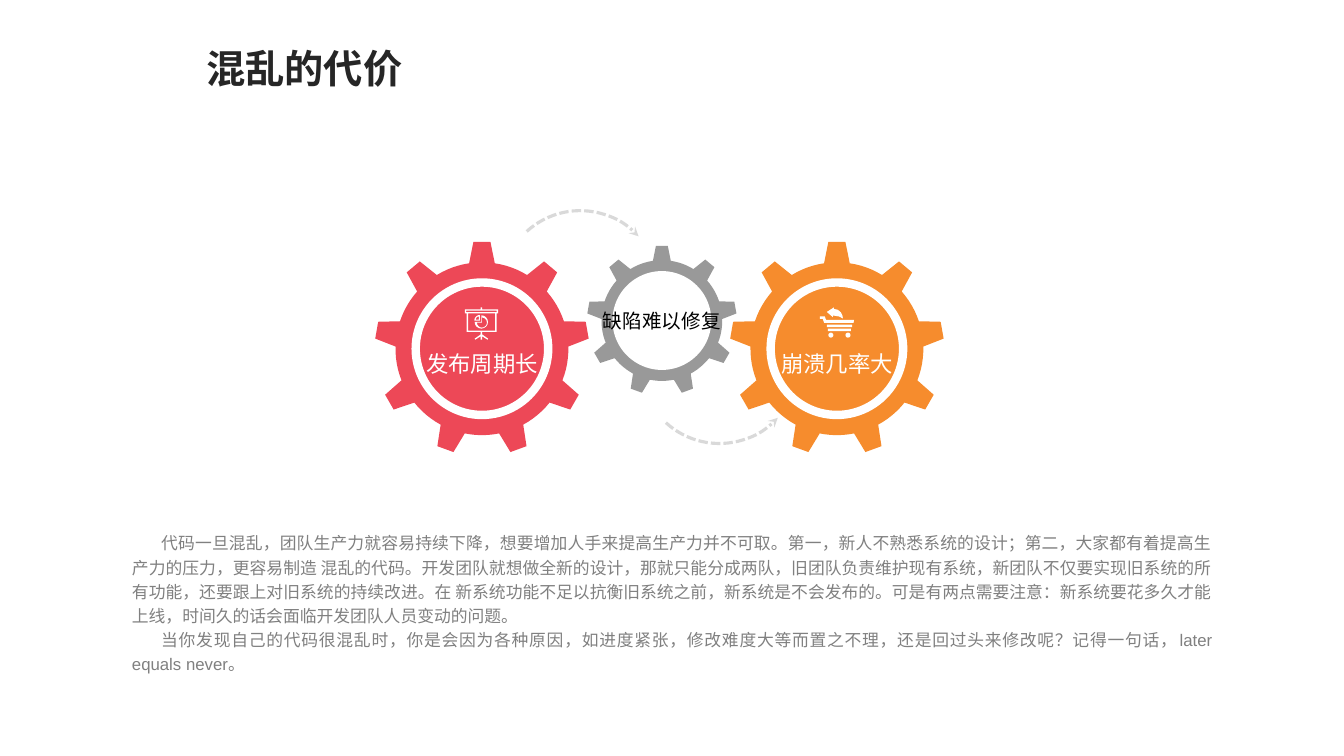
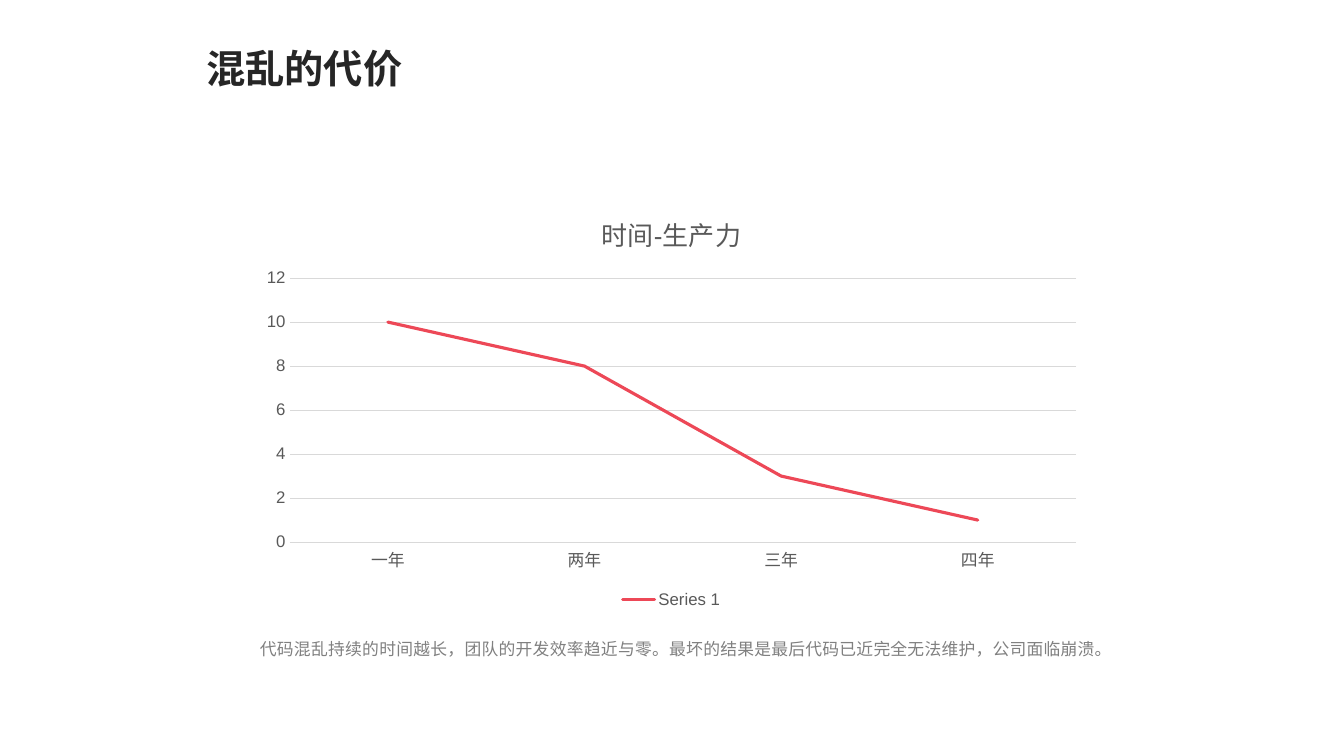
from math import cos, radians, sin

from pptx import Presentation
from pptx.chart.data import CategoryChartData
from pptx.dml.color import RGBColor
from pptx.enum.chart import XL_CHART_TYPE, XL_LEGEND_POSITION, XL_MARKER_STYLE, XL_TICK_MARK
from pptx.enum.dml import MSO_LINE
from pptx.enum.shapes import MSO_SHAPE
from pptx.enum.text import MSO_ANCHOR, PP_ALIGN
from pptx.oxml.ns import qn
from pptx.util import Emu, Inches, Pt
from lxml.etree import SubElement

RED = RGBColor(0xED, 0x48, 0x57)
ORANGE = RGBColor(0xF6, 0x8C, 0x2D)
GREY = RGBColor(0x99, 0x99, 0x99)
PALE = RGBColor(0xD9, 0xD9, 0xD9)
DARK = RGBColor(0x26, 0x26, 0x26)
MID = RGBColor(0x59, 0x59, 0x59)
SOFT = RGBColor(0x80, 0x80, 0x80)
BLACK = RGBColor(0, 0, 0)
WHITE = RGBColor(0xFF, 0xFF, 0xFF)

W, H = Inches(13.33), Inches(7.5)
FONT = "Arial"
TITLE = {"size": Pt(28), "bold": True, "color": DARK}
BODY = {"size": Pt(12), "color": SOFT}
AXIS = {"size": Pt(12), "color": MID}
CHART_TITLE = {"size": Pt(18.6), "bold": False, "color": MID}
LABEL = {"size": Pt(16), "color": WHITE}
SMALL_LABEL = {"size": Pt(14), "color": BLACK}

# Boxes in percent of the slide: left, top, width, height
TITLE_BOX = (14.63, 5.2, 16.28, 7.6)
STORY_BOX = (9.08, 69.33, 81.85, 20.8)
CHART_BOX = (18.6, 25.6, 62.72, 55.47)
NOTE_BOX = (18.6, 83.33, 63.69, 4.53)

STORY = [
    "代码一旦混乱，团队生产力就容易持续下降，想要增加人手来提高生产力并不可取。第一，新人不熟悉系统的设计；"
    "第二，大家都有着提高生产力的压力，更容易制造 混乱的代码。开发团队就想做全新的设计，那就只能分成两队，"
    "旧团队负责维护现有系统，新团队不仅要实现旧系统的所有功能，还要跟上对旧系统的持续改进。"
    "在 新系统功能不足以抗衡旧系统之前，新系统是不会发布的。可是有两点需要注意：新系统要花多久才能上线，"
    "时间久的话会面临开发团队人员变动的问题。",
    "当你发现自己的代码很混乱时，你是会因为各种原因，如进度紧张，修改难度大等而置之不理，"
    "还是回过头来修改呢？记得一句话，later equals never。",
]
NOTE = ["代码混乱持续的时间越长，团队的开发效率趋近与零。最坏的结果是最后代码已近完全无法维护，公司面临崩溃。"]


def across(share):
    return Emu(int(W * share / 100))


def down(share):
    return Emu(int(H * share / 100))


def place(box):
    x, y, w, h = box
    return across(x), down(y), across(w), down(h)


def around(cx, cy, r):
    return [Emu(int(v)) for v in (cx - r, cy - r, 2 * r, 2 * r)]


def set_font(font, style):
    font.name = FONT
    for key, value in style.items():
        if key == "color":
            font.color.rgb = value
        else:
            setattr(font, key, value)


def paint(sp, fill, line=None, width=None):
    sp.shadow.inherit = False
    if fill is None:
        sp.fill.background()
    else:
        sp.fill.solid()
        sp.fill.fore_color.rgb = fill
    if line is None:
        sp.line.fill.background()
    else:
        sp.line.color.rgb = line
        sp.line.width = width


def write(sp, paragraphs, style, wrap=True, indent=0, frame=None, para=None):
    tf = sp.text_frame
    tf.word_wrap = wrap
    for key, value in (frame or {}).items():
        setattr(tf, key, value)
    for i, text in enumerate(paragraphs):
        p = tf.add_paragraph() if i else tf.paragraphs[0]
        for key, value in (para or {}).items():
            setattr(p, key, value)
        if indent:
            p._p.get_or_add_pPr().set("indent", str(indent))
        r = p.add_run()
        r.text = text
        set_font(r.font, style)


def write_label(sp, text, style):
    frame = dict.fromkeys(("margin_left", "margin_top", "margin_right", "margin_bottom"), 0)
    frame["vertical_anchor"] = MSO_ANCHOR.MIDDLE
    write(sp, [text], style, False, frame=frame, para={"alignment": PP_ALIGN.CENTER})


def add_body(slide, box, paragraphs, indent=0):
    sp = slide.shapes.add_textbox(*place(box))
    write(sp, paragraphs, BODY, indent=indent,
          para={"alignment": PP_ALIGN.JUSTIFY, "line_spacing": 1.2})


def new_slide(prs):
    slide = prs.slides.add_slide(prs.slide_layouts[6])
    write(slide.shapes.add_textbox(*place(TITLE_BOX)), ["混乱的代价"], TITLE, False)
    return slide


# Outlines
def arc(cx, cy, r, start, end, steps=12):
    angles = [radians(start + (end - start) * i / steps) for i in range(steps + 1)]
    return [(cx + r * cos(a), cy + r * sin(a)) for a in angles]


def sector(cx, cy, r, start, end):
    return arc(cx, cy, r, start, end) + [(cx, cy)]


def rect(x1, y1, x2, y2):
    return [(x1, y1), (x2, y1), (x2, y2), (x1, y2)]


def gear_outline(teeth=9, tip=0.08, root=0.12, body=0.8):
    step = 360 / teeth
    half = 8.5  # degrees taken by half a tooth root
    points = []
    for i in range(teeth):
        a = radians(i * step)
        for x, y in ((-root, -body), (-tip, -1), (tip, -1), (root, -body)):
            points.append((x * cos(a) - y * sin(a), x * sin(a) + y * cos(a)))
        points += arc(0, 0, (body ** 2 + root ** 2) ** 0.5,
                      i * step - 90 + half, (i + 1) * step - 90 - half, 6)
    return points


def add_outline(slide, contours, x, y, unit, fill):
    scaled = [[(int(x + px * unit), int(y + py * unit)) for px, py in c] for c in contours]
    builder = slide.shapes.build_freeform(*scaled[0][0], scale=1.0)
    for i, contour in enumerate(scaled):
        if i:
            builder.move_to(*contour[0])
        builder.add_line_segments(contour[1:], close=True)
    paint(builder.convert_to_shape(), fill)


# Icons on a grid of 33 columns and 32 rows
BOARD_ICON = [
    rect(0, 2, 33, 6), rect(1.3, 3.3, 31.7, 4.7),
    rect(1.8, 6, 31.5, 24.3), rect(3.2, 6, 30.1, 23),
    rect(15.8, 0, 17.2, 2), rect(15.8, 24.3, 17.2, 32),
    [(15.8, 26.8), (15.8, 28.6), (10.4, 32), (9.8, 31)],
    [(17.2, 26.8), (17.2, 28.6), (22.6, 32), (23.2, 31)],
    sector(16.4, 14.4, 6.6, -90, 180), sector(17, 15, 5, -90, 180),
    sector(15, 13, 5.5, 180, 270), sector(14, 12, 3, 180, 270),
]
CART_ICON = [
    arc(11, 27.5, 2.5, 0, 360), arc(28, 27.5, 2.5, 0, 360),
    rect(8, 21, 31, 23.5), rect(7, 17, 32, 19.5),
    [(0, 9), (5, 9), (6.3, 12.5), (34, 12.5), (33.5, 15.3), (4.3, 15.3), (3, 11.5), (0, 11.5)],
    [(14, 0), (14, 1.5), (18, 2.4), (21, 5), (22.5, 8), (23, 11), (19, 9), (13, 8), (13, 9.7), (7, 4.5)],
]


def add_gear(slide, cx, cy, r, color, text, icon=None):
    cx, cy, r = across(cx), down(cy), down(r)
    add_outline(slide, [gear_outline()], cx, cy, r, color)
    # Inner disc
    disc = slide.shapes.add_shape(MSO_SHAPE.OVAL, *around(cx, cy, r * 0.62))
    paint(disc, color if icon else WHITE, WHITE, Pt(6 if icon else 4.5))
    if not icon:
        write_label(disc, text, SMALL_LABEL)
        return
    # Icon above its label
    unit = r / 106
    add_outline(slide, icon, cx - 17 * unit, cy - 41 * unit, unit, WHITE)
    box = (cx - 65 * unit, cy - 16 * unit, 130 * unit, 62 * unit)
    write_label(slide.shapes.add_textbox(*[Emu(int(v)) for v in box]), text, LABEL)


def add_arrow(slide, cx, cy, rotation, flip):
    sp = slide.shapes.add_shape(MSO_SHAPE.ARC, *around(across(cx), down(cy), down(10.47)))
    paint(sp, None, PALE, Pt(2.25))
    sp.rotation = rotation
    sp.line.dash_style = MSO_LINE.SQUARE_DOT
    SubElement(sp._element.spPr.find(qn("a:ln")), qn("a:tailEnd"), type="stealth")
    if flip:
        sp._element.spPr.find(qn("a:xfrm")).set("flipV", "1")


def gears_slide(prs):
    slide = new_slide(prs)
    add_gear(slide, 49.25, 42.4, 9.87, GREY, "缺陷难以修复")
    add_arrow(slide, 43.17, 38.33, 317.5, False)
    add_arrow(slide, 53.53, 48.2, 42.5, True)
    add_gear(slide, 35.86, 46.13, 14.13, RED, "发布周期长", BOARD_ICON)
    add_gear(slide, 62.27, 46.13, 14.13, ORANGE, "崩溃几率大", CART_ICON)
    add_body(slide, STORY_BOX, STORY, indent=Inches(0.29))


def add_line_chart(slide, box):
    data = CategoryChartData()
    data.categories = ["一年", "两年", "三年", "四年"]
    data.add_series("Series 1", [10, 8, 3, 1])
    chart = slide.shapes.add_chart(XL_CHART_TYPE.LINE, *place(box), data).chart
    set_font(chart.font, AXIS)

    # Title and legend
    chart.has_title = True
    p = chart.chart_title.text_frame.paragraphs[0]
    r = p.add_run()
    r.text = "时间-生产力"
    set_font(r.font, CHART_TITLE)
    chart.has_legend = True
    chart.legend.position = XL_LEGEND_POSITION.BOTTOM
    chart.legend.include_in_layout = False
    set_font(chart.legend.font, AXIS)

    # Axes
    for axis in (chart.category_axis, chart.value_axis):
        axis.major_tick_mark = axis.minor_tick_mark = XL_TICK_MARK.NONE
        set_font(axis.tick_labels.font, AXIS)
    values = chart.value_axis
    for key, value in {"minimum_scale": 0, "maximum_scale": 12, "major_unit": 2}.items():
        setattr(values, key, value)
    values.has_major_gridlines = True
    values.format.line.fill.background()
    for part in (chart.category_axis, values.major_gridlines):
        part.format.line.color.rgb = PALE
        part.format.line.width = Pt(0.75)

    # Series
    chart.plots[0].vary_by_categories = False
    series = chart.plots[0].series[0]
    series.smooth = False
    series.marker.style = XL_MARKER_STYLE.NONE
    series.format.line.color.rgb = RED
    series.format.line.width = Pt(2.25)
    series._element.find(".//" + qn("a:ln")).set("cap", "rnd")


def chart_slide(prs):
    slide = new_slide(prs)
    add_line_chart(slide, CHART_BOX)
    add_body(slide, NOTE_BOX, NOTE)


def main():
    prs = Presentation()
    prs.slide_width, prs.slide_height = W, H
    gears_slide(prs)
    chart_slide(prs)
    prs.save("out.pptx")


if __name__ == "__main__":
    main()
